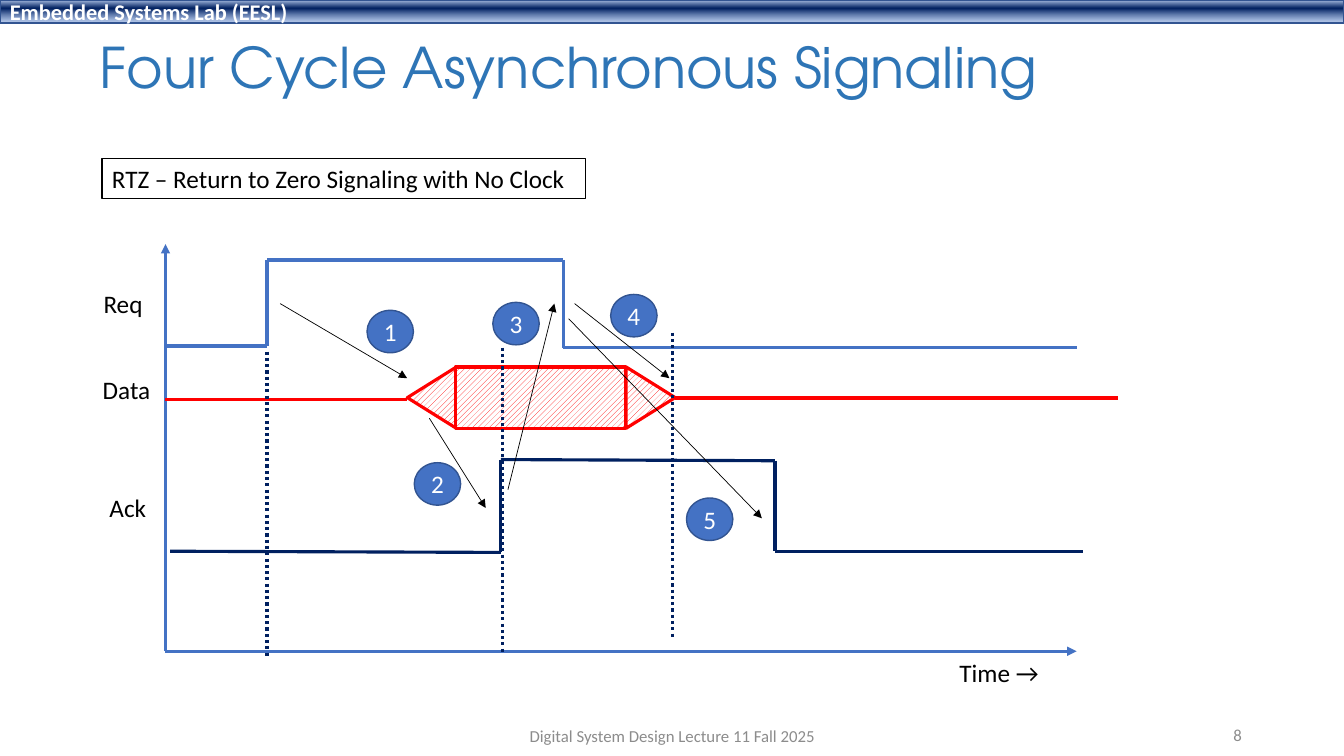
import pptx
import pptx.dml.color
import pptx.enum.dml
import pptx.enum.shapes
import pptx.enum.text
import pptx.oxml
import pptx.oxml.ns
import pptx.util

Cm = pptx.util.Cm
SHAPES = pptx.enum.shapes.MSO_SHAPE
ALIGN = pptx.enum.text.PP_ALIGN
ANCHOR = pptx.enum.text.MSO_ANCHOR

BLUE, NAVY, RED = "4472C4", "002060", "FF0000"
BLACK, WHITE, GREY = "000000", "FFFFFF", "8C8C8C"
OUTLINE, TITLE_BLUE = "325491", "2E75B6"


def rgb(value):
    return pptx.dml.color.RGBColor.from_string(value)


def set_attributes(target, values):
    for name, value in values.items():
        setattr(target, name, value)


def write(shape, text, size, color, align=ALIGN.LEFT, font="Calibri", bold=False,
          spacing=1.0, **frame_format):
    """Fill a shape with one paragraph; frame_format goes to the text frame."""
    frame = shape.text_frame
    set_attributes(frame, {"word_wrap": True, **frame_format})
    paragraph = frame.paragraphs[0]
    set_attributes(paragraph, {"alignment": align, "line_spacing": spacing})
    run = paragraph.add_run()
    run.text = text
    set_attributes(run.font, {"name": font, "size": pptx.util.Pt(size), "bold": bold})
    run.font.color.rgb = rgb(color)


def add_text(slide, box, text, size, color, **options):
    write(slide.shapes.add_textbox(*map(Cm, box)), text, size, color, **options)


def add_label(slide, left, top, width, text):
    add_text(slide, (left, top, width, 1.02), text, 18, BLACK, word_wrap=False,
             auto_size=pptx.enum.text.MSO_AUTO_SIZE.SHAPE_TO_FIT_TEXT)


def add_shape(slide, kind, box, fill, line, width):
    shape = slide.shapes.add_shape(kind, *map(Cm, box))
    shape.shadow.inherit = False
    shape.fill.solid()
    shape.fill.fore_color.rgb = rgb(fill)
    shape.line.color.rgb = rgb(line)
    shape.line.width = pptx.util.Pt(width)
    return shape


def add_hatched(slide, kind, box, rotation=0):
    shape = add_shape(slide, kind, box, WHITE, RED, 2.25)
    shape.fill.patterned()
    shape.fill.pattern = pptx.enum.dml.MSO_PATTERN.WIDE_UPWARD_DIAGONAL
    shape.fill.fore_color.rgb = rgb(RED)
    shape.fill.back_color.rgb = rgb(WHITE)
    shape.rotation = rotation


def add_line(slide, start, end, color, width=2.25, arrow=False, dotted=False):
    connector = slide.shapes.add_connector(
        pptx.enum.shapes.MSO_CONNECTOR.STRAIGHT, *map(Cm, start + end))
    connector.line.color.rgb = rgb(color)
    connector.line.width = pptx.util.Pt(width)
    if dotted:
        connector.line.dash_style = pptx.enum.dml.MSO_LINE.ROUND_DOT
    properties = connector.element.spPr
    if arrow:
        line = properties.find(pptx.oxml.ns.qn("a:ln"))
        line.append(pptx.oxml.parse_xml(
            f'<a:tailEnd {pptx.oxml.ns.nsdecls("a")} type="triangle"/>'))
    properties.append(pptx.oxml.parse_xml(
        f'<a:effectLst {pptx.oxml.ns.nsdecls("a")}/>'))


def add_signal(slide, points, color):
    """Join consecutive points with straight segments."""
    for start, end in zip(points, points[1:]):
        add_line(slide, start, end, color)


def add_header(slide, text):
    bar = add_shape(slide, SHAPES.RECTANGLE, (0, 0, 33.87, 0.58), NAVY, OUTLINE, 1)
    stops = "".join(
        f'<a:gs pos="{position}000"><a:srgbClr val="{color}">'
        f'<a:alpha val="{opacity}000"/></a:srgbClr></a:gs>'
        for position, color, opacity in
        ((2, "ABC0E4", 100), (38, NAVY, 100), (93, "7E9ED6", 64)))
    gradient = pptx.oxml.parse_xml(
        f'<a:gradFill {pptx.oxml.ns.nsdecls("a")}><a:gsLst>{stops}</a:gsLst>'
        '<a:lin ang="5400000" scaled="0"/></a:gradFill>')
    properties = bar.element.spPr
    properties.replace(properties.find(pptx.oxml.ns.qn("a:solidFill")), gradient)
    write(bar, text, 16, WHITE, bold=True, vertical_anchor=ANCHOR.MIDDLE)


def add_step(slide, number, left, top):
    circle = add_shape(slide, SHAPES.OVAL, (left, top, 1.17, 1.07), BLUE, OUTLINE, 1)
    write(circle, str(number), 18, WHITE, align=ALIGN.CENTER,
          vertical_anchor=ANCHOR.MIDDLE)


def add_timing_diagram(slide):
    origin = (4.17, 16.41)
    for axis_end in ((4.17, 6.15), (27.13, 16.41)):
        add_line(slide, origin, axis_end, BLUE, arrow=True)

    add_signal(slide, [(4.29, 13.89), (12.62, 13.92), (12.62, 11.58), (19.53, 11.61),
                       (19.53, 13.89), (27.28, 13.89)], NAVY)

    add_line(slide, (4.17, 10.06), (10.26, 10.06), RED)
    add_hatched(slide, SHAPES.ISOSCELES_TRIANGLE, (10.11, 9.4, 1.55, 1.24), 270)
    add_hatched(slide, SHAPES.RECTANGLE, (11.48, 9.25, 4.29, 1.55))
    add_hatched(slide, SHAPES.ISOSCELES_TRIANGLE, (15.62, 9.4, 1.55, 1.24), 90)
    add_line(slide, (17.02, 10.03), (28.17, 10.03), RED)

    add_signal(slide, [(4.17, 8.72), (6.73, 8.72), (6.73, 6.55), (14.2, 6.55),
                       (14.2, 8.76), (27.13, 8.76)], BLUE)

    for left, top in ((6.73, 8.86), (12.67, 8.76), (16.94, 8.38)):
        add_line(slide, (left, top), (left, top + 7.73), NAVY, dotted=True)

    for label in ((23.93, 16.43, 2.54, "Time →"), (2.36, 7.14, 1.5, "Req"),
                  (2.34, 9.3, 1.73, "Data"), (2.51, 12.29, 1.45, "Ack")):
        add_label(slide, *label)

    for start, end in (((7.06, 7.65), (10.26, 9.53)), ((10.82, 10.54), (12.24, 12.8)),
                       ((12.8, 12.34), (13.97, 7.65)), ((14.48, 7.65), (16.87, 9.53)),
                       ((14.33, 8.03), (19.2, 13.06))):
        add_line(slide, start, end, BLACK, 0.5, arrow=True)

    steps = ((9.25, 7.82), (10.44, 11.66), (12.42, 7.62), (15.39, 7.42), (17.3, 12.55))
    for number, (left, top) in enumerate(steps, 1):
        add_step(slide, number, left, top)


def main():
    presentation = pptx.Presentation()
    presentation.slide_width = Cm(33.87)
    presentation.slide_height = Cm(19.05)
    slide = presentation.slides.add_slide(presentation.slide_layouts[6])

    add_header(slide, "Embedded Systems Lab (EESL)")
    add_text(slide, (2.26, 0.48, 29.21, 2.59), "Four Cycle Asynchronous Signaling",
             40, TITLE_BLUE, font="TeX Gyre Adventor", spacing=0.9,
             vertical_anchor=ANCHOR.MIDDLE)
    note = add_shape(slide, SHAPES.RECTANGLE, (2.57, 3.99, 12.19, 1.02), WHITE, BLACK, 1)
    write(note, "RTZ – Return to Zero Signaling with No Clock", 18, BLACK,
          vertical_anchor=ANCHOR.TOP)
    add_timing_diagram(slide)
    add_text(slide, (11.23, 18.03, 11.43, 1.02),
             "Digital System Design Lecture 11 Fall 2025", 12, GREY,
             align=ALIGN.CENTER, vertical_anchor=ANCHOR.MIDDLE)
    add_text(slide, (23.93, 18.01, 7.62, 1.02), "8", 12, GREY,
             align=ALIGN.RIGHT, vertical_anchor=ANCHOR.MIDDLE)
    presentation.save("out.pptx")


if __name__ == "__main__":
    main()
